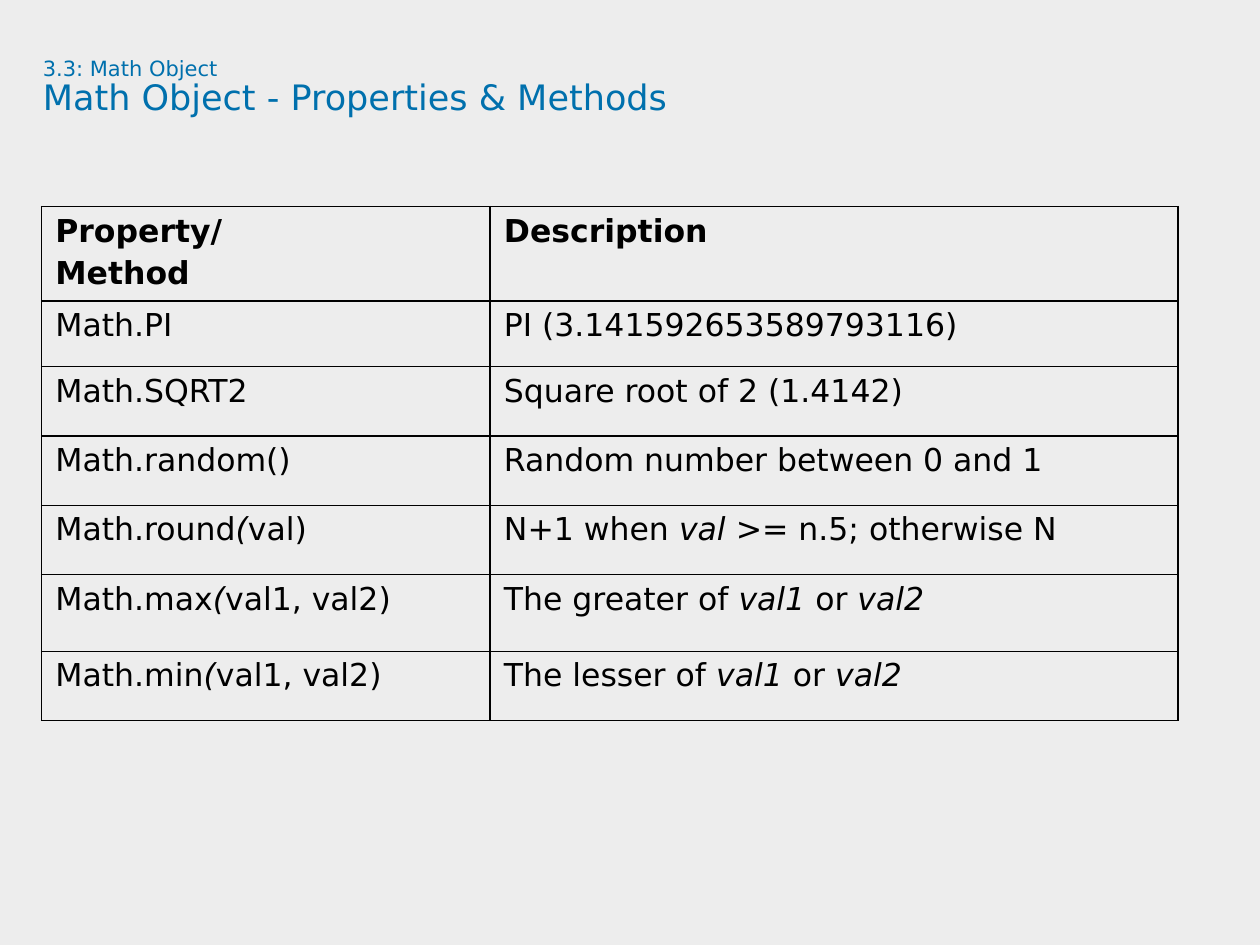
from lxml.etree import SubElement
from pptx import Presentation
from pptx.dml.color import RGBColor
from pptx.oxml import parse_xml
from pptx.oxml.ns import nsdecls
from pptx.util import Inches, Pt

FONT = "DejaVu Sans"
COLORS = {"background": "EDEDED", "title": "0070AD", "text": "000000", "border": "000000"}

TITLE_LINES = [("3.3: Math Object", 12), ("Math Object - Properties & Methods", 20)]

# Text between asterisks is italic; the first row is the header.
ROWS = [
    ("Property/\nMethod", "Description"),
    ("Math.PI", "PI (3.141592653589793116)"),
    ("Math.SQRT2", "Square root of 2 (1.4142)"),
    ("Math.random()", "Random number between 0 and 1"),
    ("Math.round*(*val)", "N+1 when *val *>= n.5; otherwise N"),
    ("Math.max*(*val1, val2)", "The greater of *val1 *or *val2*"),
    ("Math.min*(*val1, val2)", "The lesser of *val1 *or *val2*"),
]
COLUMN_WIDTHS = [3.56, 5.46]
ROW_HEIGHTS = [0.55, 0.52, 0.55, 0.55, 0.55, 0.61, 0.55]
TEXT_SIZE = 18
HANGING_INDENT = 0.38


def style_font(font, size, color):
    font.name = FONT
    font.size = Pt(size)
    font.color.rgb = RGBColor.from_string(COLORS[color])


def add_title(page):
    box = page.shapes.add_textbox(Inches(0.34), Inches(0.46), Inches(9.09), Inches(0.94))
    frame = box.text_frame
    frame.word_wrap = True
    frame.margin_left = frame.margin_top = frame.margin_right = frame.margin_bottom = 0
    frame.text = "\n".join(text for text, _ in TITLE_LINES)
    for para, (_, size) in zip(frame.paragraphs, TITLE_LINES):
        para.line_spacing = 0.9
        style_font(para.runs[0].font, size, "title")


def add_borders(cell):
    properties = cell._tc.get_or_add_tcPr()
    for position, side in enumerate(("lnL", "lnR", "lnT", "lnB")):
        line = parse_xml(f'<a:{side} {nsdecls("a")} w="{Pt(1)}"><a:solidFill/></a:{side}>')
        SubElement(line[0], line[0].tag.replace("solidFill", "srgbClr"), val=COLORS["border"])
        properties.insert(position, line)


def fill_cell(cell, content, is_header):
    cell.fill.background()
    add_borders(cell)
    cell.margin_left = cell.margin_right = Inches(0.11)
    cell.margin_top = cell.margin_bottom = Inches(0.05)
    frame = cell.text_frame
    for number, line in enumerate(content.split("\n")):
        para = frame.add_paragraph() if number else frame.paragraphs[0]
        para.space_before = Pt(0.2 * TEXT_SIZE)
        indent = para._p.get_or_add_pPr()
        indent.set("marL", str(Inches(HANGING_INDENT)))
        indent.set("indent", str(-Inches(HANGING_INDENT)))
        for part, text in enumerate(line.split("*")):
            if text:
                span = para.add_run()
                span.text = text
                style_font(span.font, TEXT_SIZE, "text")
                span.font.bold = is_header
                span.font.italic = part % 2 == 1


def add_method_table(page):
    frame = page.shapes.add_table(
        len(ROWS), len(COLUMN_WIDTHS), Inches(0.33), Inches(1.64),
        Inches(sum(COLUMN_WIDTHS)), Inches(sum(ROW_HEIGHTS)))
    table = frame.table
    table.horz_banding = False
    for column, width in zip(table.columns, COLUMN_WIDTHS):
        column.width = Inches(width)
    for row_number, (row, height, contents) in enumerate(zip(table.rows, ROW_HEIGHTS, ROWS)):
        row.height = Inches(height)
        for cell, content in zip(row.cells, contents):
            fill_cell(cell, content, row_number == 0)


def main():
    deck = Presentation()
    deck.slide_width, deck.slide_height = Inches(10), Inches(7.5)
    page = deck.slides.add_slide(deck.slide_layouts[6])
    page.background.fill.solid()
    page.background.fill.fore_color.rgb = RGBColor.from_string(COLORS["background"])
    add_title(page)
    add_method_table(page)
    deck.save("out.pptx")


if __name__ == "__main__":
    main()
